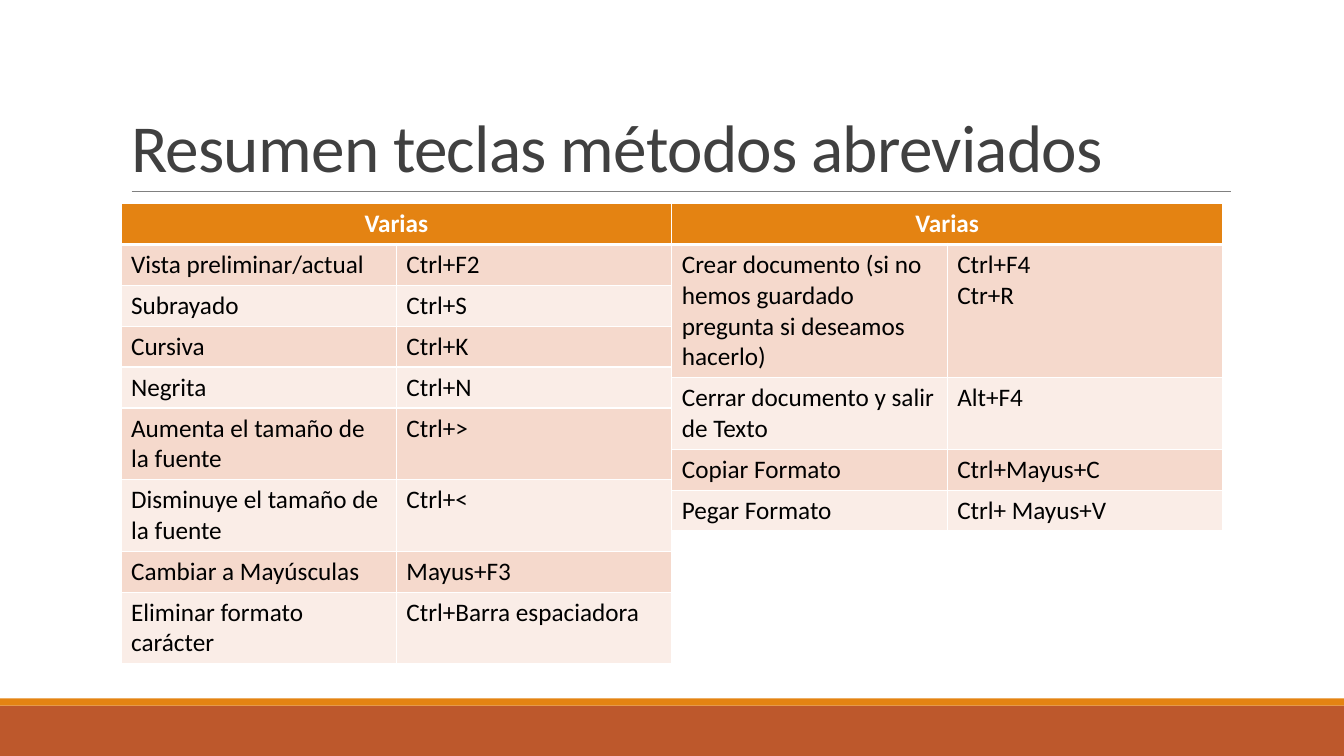
from dataclasses import dataclass

from lxml.etree import SubElement
from pptx import Presentation
from pptx.dml.color import RGBColor
from pptx.enum.shapes import MSO_CONNECTOR as Connector, MSO_SHAPE as Shape
from pptx.enum.text import MSO_ANCHOR as Anchor, MSO_AUTO_SIZE as AutoSize, PP_ALIGN as Align
from pptx.oxml.ns import qn
from pptx.util import Cm, Pt


@dataclass(frozen=True)
class Theme:
    font: str = "Calibri"
    title_size: int = 48
    table_size: int = 18
    title: str = "404040"
    text: str = "000000"
    light: str = "FFFFFF"
    rule: str = "808080"
    accent: str = "E48312"
    footer: str = "BD582C"
    bands: tuple = ("F5D9CC", "FAEDE7")


def apply(target, values):
    for name, value in values.items():
        setattr(target, name, value)


def set_borders(cell, color, widths):
    """Draw the left, right, top and bottom borders, widths in points."""
    properties = cell._tc.get_or_add_tcPr()
    for side, width in zip("LRTB", widths):
        border = SubElement(properties, qn(f"a:ln{side}"), w=str(Pt(width)))
        fill = SubElement(border, qn("a:solidFill"))
        SubElement(fill, qn("a:srgbClr"), val=color)


class SlideBuilder:
    def __init__(self, slide, theme):
        self.slide = slide
        self.theme = theme

    def style(self, font, size, color, bold=False):
        apply(font, {"name": self.theme.font, "size": Pt(size), "bold": bold})
        font.color.rgb = RGBColor.from_string(color)

    def bar(self, top, height, color):
        """Add a band over the full slide width."""
        band = self.slide.shapes.add_shape(
            Shape.RECTANGLE, 0, Cm(top), SLIDE_WIDTH, Cm(height))
        band.shadow.inherit = False
        band.fill.solid()
        band.fill.fore_color.rgb = RGBColor.from_string(color)
        band.line.fill.background()

    def rule(self, left, right, top):
        """Add a thin horizontal line."""
        line = self.slide.shapes.add_connector(
            Connector.STRAIGHT, Cm(left), Cm(top), Cm(right), Cm(top))
        line.line.width = Pt(0.5)
        line.line.color.rgb = RGBColor.from_string(self.theme.rule)
        SubElement(line._element.spPr, qn("a:effectLst"))

    def title(self, text, left, top, width, height):
        heading = self.slide.shapes.title
        apply(heading, {"left": Cm(left), "top": Cm(top),
                        "width": Cm(width), "height": Cm(height)})
        frame = heading.text_frame
        frame.text = text
        apply(frame, {"word_wrap": True, "auto_size": AutoSize.NONE,
                      "vertical_anchor": Anchor.BOTTOM})
        paragraph = frame.paragraphs[0]
        apply(paragraph, {"alignment": Align.LEFT, "line_spacing": 0.85})
        font = paragraph.runs[0].font
        self.style(font, self.theme.title_size, self.theme.title)
        font._element.set("spc", "-50")

    def cell(self, cell, text, fill, color, header=False):
        set_borders(cell, self.theme.light, (1, 1, 1, 3 if header else 1))
        cell.fill.solid()
        cell.fill.fore_color.rgb = RGBColor.from_string(fill)
        cell.text = text
        for paragraph in cell.text_frame.paragraphs:
            paragraph.alignment = Align.CENTER if header else Align.LEFT
            for run in paragraph.runs:
                self.style(run.font, self.theme.table_size, color, header)

    def shortcut_table(self, heading, shortcuts, left, top, column_width, row_height):
        """Add a table of actions and keys under one merged heading."""
        row_count = len(shortcuts) + 1
        table = self.slide.shapes.add_table(
            row_count, 2, Cm(left), Cm(top),
            Cm(2 * column_width), Cm(row_count * row_height)).table
        for column in table.columns:
            column.width = Cm(column_width)
        for row in table.rows:
            row.height = Cm(row_height)
        table.cell(0, 0).merge(table.cell(0, 1))
        self.cell(table.cell(0, 0), heading, self.theme.accent, self.theme.light, header=True)
        for row, shortcut in enumerate(shortcuts, start=1):
            band = self.theme.bands[(row - 1) % 2]
            for column, text in enumerate(shortcut):
                self.cell(table.cell(row, column), text, band, self.theme.text)


SLIDE_WIDTH, SLIDE_HEIGHT = Cm(33.87), Cm(19.05)
TABLE_LEFT, TABLE_TOP = 3.05, 5.13
COLUMN_WIDTH, ROW_HEIGHT = 6.94, 1.03

FORMAT_SHORTCUTS = [
    ("Vista preliminar/actual", "Ctrl+F2"),
    ("Subrayado", "Ctrl+S"),
    ("Cursiva", "Ctrl+K"),
    ("Negrita", "Ctrl+N"),
    ("Aumenta el tamaño de la fuente", "Ctrl+>"),
    ("Disminuye el tamaño de la fuente", "Ctrl+<"),
    ("Cambiar a Mayúsculas", "Mayus+F3"),
    ("Eliminar formato carácter", "Ctrl+Barra espaciadora"),
]
DOCUMENT_SHORTCUTS = [
    ("Crear documento (si no hemos guardado pregunta si deseamos hacerlo)", "Ctrl+F4\nCtr+R"),
    ("Cerrar documento y salir de Texto", "Alt+F4"),
    ("Copiar Formato", "Ctrl+Mayus+C"),
    ("Pegar Formato", "Ctrl+ Mayus+V"),
]


def main():
    deck = Presentation()
    apply(deck, {"slide_width": SLIDE_WIDTH, "slide_height": SLIDE_HEIGHT})
    theme = Theme()
    title_only = deck.slide_layouts[5]
    builder = SlideBuilder(deck.slides.add_slide(title_only), theme)

    builder.bar(17.78, 1.27, theme.footer)
    builder.bar(17.6, 0.18, theme.accent)
    builder.rule(3.32, 31.01, 4.83)
    builder.title("Resumen teclas métodos abreviados", 3.05, 0.8, 27.94, 4.03)
    for index, shortcuts in enumerate((FORMAT_SHORTCUTS, DOCUMENT_SHORTCUTS)):
        left = TABLE_LEFT + index * 2 * COLUMN_WIDTH
        builder.shortcut_table("Varias", shortcuts, left, TABLE_TOP, COLUMN_WIDTH, ROW_HEIGHT)

    deck.save("out.pptx")


if __name__ == "__main__":
    main()
